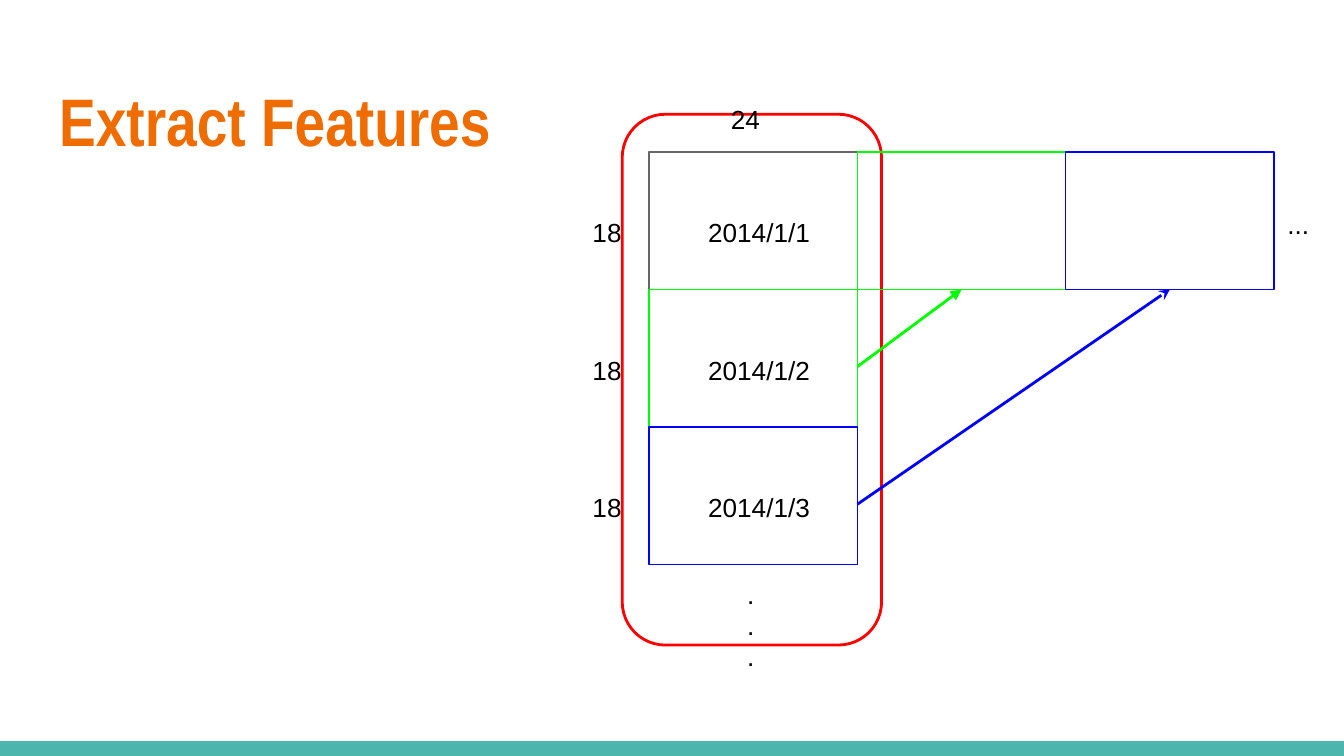
from dataclasses import dataclass

from pptx import Presentation
from pptx import util as u
from pptx.dml.color import RGBColor
from pptx.enum import shapes, text
from pptx.oxml import parse_xml
from pptx.oxml.ns import nsdecls, qn

WIDTH = 10
HEIGHT = WIDTH * 9 / 16
LEFT, TOP = 4.83, 1.13
COL, ROW = 1.55, 3.07 / 3
LABEL_W, LABEL_H = 0.52, 0.39
LABEL_DROP, DATE_INSET = 0.38, 0.34
ORANGE, TEAL, RED, BLACK = "EF6C00", "4DB6AC", "FF0000", "000000"
GRAY, GREEN, BLUE = "666666", "00FF00", "0000FF"


@dataclass
class Day:
    date: str
    color: str
    head: str = ""


@dataclass
class Box:
    x: float
    y: float
    w: float
    h: float

    def lengths(self) -> list:
        return [u.Inches(v) for v in (self.x, self.y, self.w, self.h)]


DAYS = [
    Day("2014/1/1", GRAY),
    Day("2014/1/2", GREEN, "triangle"),
    Day("2014/1/3", BLUE, "stealth"),
]


def rgb(color: str) -> RGBColor:
    return RGBColor.from_string(color)


def cell(col: int, row: int) -> Box:
    return Box(LEFT + col * COL, TOP + row * ROW, COL, ROW)


def write(sp, words: str, size: float, font: str, color: str, bold: bool = False):
    tf = sp.text_frame
    frame = dict(word_wrap=True, auto_size=text.MSO_AUTO_SIZE.NONE,
                 vertical_anchor=text.MSO_ANCHOR.TOP)
    frame.update({f"margin_{side}": u.Inches(0.1)
                  for side in ("left", "top", "right", "bottom")})
    for name, value in frame.items():
        setattr(tf, name, value)
    p = tf.paragraphs[0]
    p.alignment = text.PP_ALIGN.LEFT
    r = p.add_run()
    r.text = words
    for name, value in dict(size=u.Pt(size), name=font, bold=bold).items():
        setattr(r.font, name, value)
    r.font.color.rgb = rgb(color)


def label(s, words: str, box: Box):
    sp = s.shapes.add_textbox(*box.lengths())
    write(sp, words, 14, "Arial", BLACK)
    return sp


def outline(s, kind, box: Box, color: str, width: float = 0.75):
    sp = s.shapes.add_shape(kind, *box.lengths())
    sp.shadow.inherit = False
    sp.fill.background()
    sp.line.color.rgb = rgb(color)
    sp.line.width = u.Pt(width)
    return sp


def arrow(s, start, end, day: Day):
    sp = s.shapes.add_connector(shapes.MSO_CONNECTOR.STRAIGHT, 0, 0, 0, 0)
    sp.begin_connect(start, 3)
    sp.end_connect(end, 2)
    sp.line.color.rgb = rgb(day.color)
    sp.line.width = u.Pt(1.5)
    sp.line._get_or_add_ln().append(
        parse_xml(f'<a:tailEnd {nsdecls("a")} type="{day.head}"/>'))
    sp._element.spPr.append(sp._element.makeelement(qn("a:effectLst"), {}))


def main():
    prs = Presentation()
    prs.slide_width, prs.slide_height = u.Inches(WIDTH), u.Inches(HEIGHT)
    s = prs.slides.add_slide(prs.slide_layouts[5])
    rect = shapes.MSO_SHAPE.RECTANGLE

    title = s.shapes.title
    place = Box(0.34, 0.49, WIDTH - 2 * 0.34, 0.77).lengths()
    for name, value in zip(("left", "top", "width", "height"), place):
        setattr(title, name, value)
    write(title, "Extract Features", 36, "Arial Narrow", ORANGE, True)

    bar = outline(s, rect, Box(0, HEIGHT - 0.11, WIDTH, 0.11), TEAL)
    bar.fill.solid()
    bar.fill.fore_color.rgb = rgb(TEAL)
    bar.line.fill.background()

    outline(s, shapes.MSO_SHAPE.ROUNDED_RECTANGLE,
            Box(4.63, 0.85, 1.93, 3.95), RED, 1.5)
    label(s, "24", Box(5.34, 0.67, LABEL_W, LABEL_H))

    dates = []
    for row, day in enumerate(DAYS):
        box = cell(0, row)
        outline(s, rect, box, day.color)
        y = box.y + LABEL_DROP
        label(s, "18", Box(LEFT - LABEL_W, y, LABEL_W, LABEL_H))
        dates.append(label(s, day.date, Box(LEFT + DATE_INSET, y, COL - DATE_INSET, LABEL_H)))

    targets = [outline(s, rect, cell(col, 0), day.color)
               for col, day in enumerate(DAYS[1:], 1)]
    for start, end, day in zip(dates[1:], targets, DAYS[1:]):
        arrow(s, start, end, day)

    label(s, "...", Box(5.46, 4.2, 0.28, ROW))
    label(s, "...", Box(LEFT + 3 * COL, 1.45, LABEL_W, LABEL_H))
    prs.save("out.pptx")


if __name__ == "__main__":
    main()
